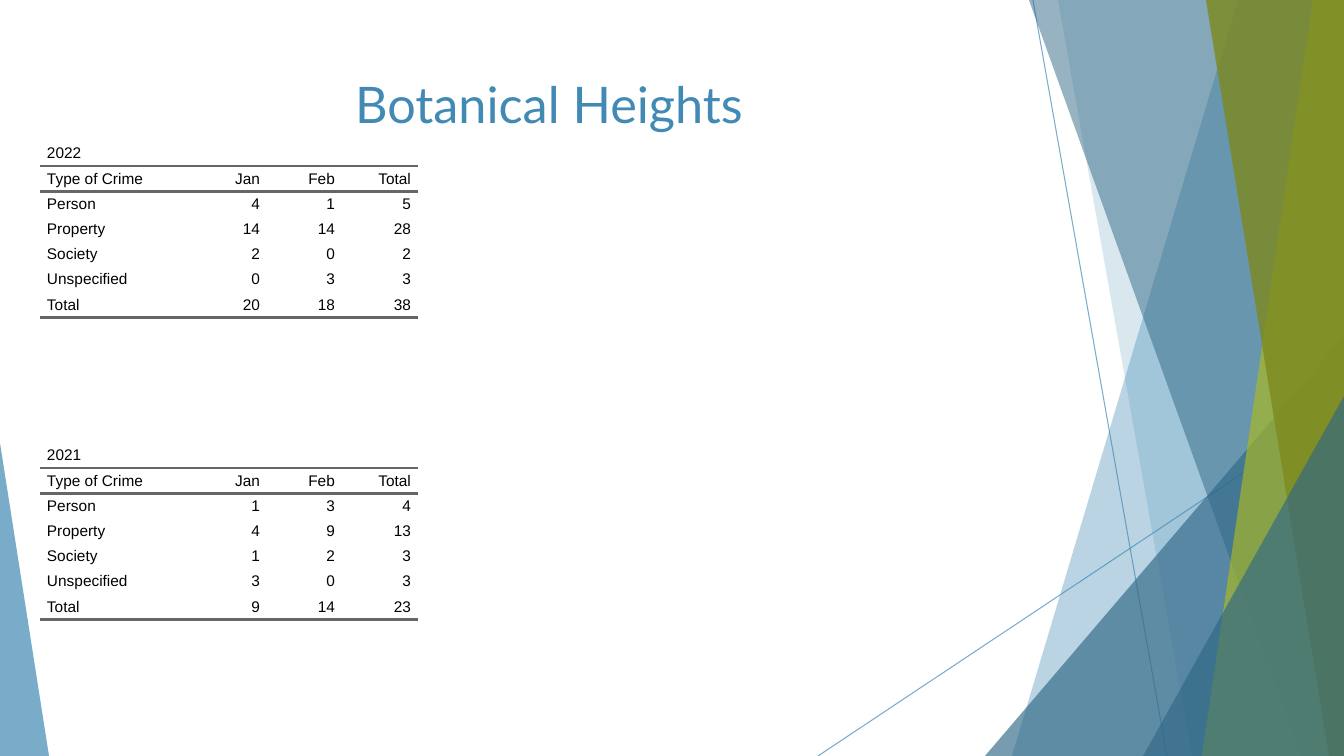
"""Build the Botanical Heights crime summary slide with two yearly tables."""
import dataclasses

import lxml.etree
import pptx
import pptx.dml.color
import pptx.enum.shapes
import pptx.enum.text
import pptx.oxml
import pptx.oxml.ns
import pptx.util


@dataclasses.dataclass(frozen=True)
class Theme:
    blue: str = "418AB3"
    dark_blue: str = "316886"
    lime: str = "A6B727"
    olive: str = "7D891D"
    text: str = "000000"
    rule: str = "666666"
    title_font: str = "Lato"
    table_font: str = "Arial"
    title_size: int = 36
    table_size: int = 11
    cell_spacing: int = 5
    rule_width: float = 2
    line_width: float = 0.75


THEME = Theme()
PIXEL = 914400 / 100.8
WIDTH, HEIGHT = 1344, 756
ALIGN = pptx.enum.text.PP_ALIGN
NO_STYLE = "{2D5ABB26-0587-4C30-8999-92F81FD0307C}"
qn = pptx.oxml.ns.qn


def paint(fill, color, opacity):
    """Apply a solid colour with an opacity in percent."""
    fill.solid()
    fill.fore_color.rgb = pptx.dml.color.RGBColor.from_string(color)
    color_element = fill._xPr.find(qn("a:solidFill"))[0]
    lxml.etree.SubElement(color_element, qn("a:alpha"), val=str(opacity * 1000))


def write_text(frame, text, *, font, size, color, align, spacing=0, indent=0):
    """Write one formatted paragraph into a text frame."""
    paragraph = frame.paragraphs[0]
    paragraph.alignment = align
    paragraph.space_before = paragraph.space_after = pptx.util.Pt(spacing)
    properties = paragraph._p.get_or_add_pPr()
    for side in ("marL", "marR"):
        properties.set(side, str(round(indent * PIXEL)))
    run = paragraph.add_run()
    run.text = text
    run.font.name = font
    run.font.size = pptx.util.Pt(size)
    run.font.color.rgb = pptx.dml.color.RGBColor.from_string(color)


presentation = pptx.Presentation()
presentation.slide_width = round(WIDTH * PIXEL)
presentation.slide_height = round(HEIGHT * PIXEL)
slide = presentation.slides.add_slide(presentation.slide_layouts[6])
shapes = slide.shapes

for ends in ((1033, 0, 1167, HEIGHT), (WIDTH, 406, 818, HEIGHT)):
    connector = shapes.add_connector(
        pptx.enum.shapes.MSO_CONNECTOR.STRAIGHT, *(round(end * PIXEL) for end in ends))
    connector.line.width = pptx.util.Pt(THEME.line_width)
    paint(connector.line.fill, THEME.blue, 70)
    lxml.etree.SubElement(connector._element.spPr, qn("a:effectLst"))

facets = (
    ("band", (1238, 1012), THEME.blue, 36),
    ("band", (1058, 1192), THEME.blue, 20),
    ("triangle", (985, 336, 359, 420, 1), THEME.dark_blue, 66),
    ("band", (1029, 1301), THEME.dark_blue, 50),
    ("band", (1313, 1202), THEME.lime, 70),
    ("band", (1206, 1329), THEME.olive, 80),
    ("triangle", (1143, 396, 201, 360, 1), THEME.dark_blue, 66),
    ("triangle", (0, 443, 49, 313, 0), THEME.blue, 70),
)
for kind, geometry, color, opacity in facets:
    if kind == "band":
        top_x, bottom_x = geometry
        builder = shapes.build_freeform(top_x, 0, scale=PIXEL)
        builder.add_line_segments(((WIDTH, 0), (WIDTH, HEIGHT), (bottom_x, HEIGHT)))
        facet = builder.convert_to_shape()
    else:
        *box, apex = geometry
        facet = shapes.add_shape(
            pptx.enum.shapes.MSO_SHAPE.ISOSCELES_TRIANGLE,
            *(round(length * PIXEL) for length in box))
        facet.adjustments[0] = apex
    facet.shadow.inherit = False
    facet.line.fill.background()
    paint(facet.fill, color, opacity)

HEADER = ("Type of Crime", "Jan", "Feb", "Total")
COLUMN_WIDTHS = (151, 76, 75, 76)
ROW_HEIGHT = 25.2
yearly_tables = (
    (141, "2022", (("Person", 4, 1, 5), ("Property", 14, 14, 28), ("Society", 2, 0, 2),
                   ("Unspecified", 0, 3, 3), ("Total", 20, 18, 38))),
    (443, "2021", (("Person", 1, 3, 4), ("Property", 4, 9, 13), ("Society", 1, 2, 3),
                   ("Unspecified", 3, 0, 3), ("Total", 9, 14, 23))),
)
for top, year, crimes in yearly_tables:
    rows = ((year,), HEADER, *crimes)
    borders = {1: ("a:lnB", "a:lnT"), len(rows) - 1: ("a:lnB",)}
    frame = shapes.add_table(
        len(rows), len(HEADER), round(40 * PIXEL), round(top * PIXEL),
        round(sum(COLUMN_WIDTHS) * PIXEL), round(len(rows) * ROW_HEIGHT * PIXEL))
    table = frame.table
    table.first_row = table.horz_banding = False
    table._tbl.tblPr.find(qn("a:tableStyleId")).text = NO_STYLE
    for column, width in zip(table.columns, COLUMN_WIDTHS):
        column.width = round(width * PIXEL)
    for row in table.rows:
        row.height = round(ROW_HEIGHT * PIXEL)
    table.cell(0, 0).merge(table.cell(0, len(HEADER) - 1))
    for row_index, row in enumerate(rows):
        for column_index, value in enumerate(row):
            cell = table.cell(row_index, column_index)
            cell.margin_left = cell.margin_right = cell.margin_top = cell.margin_bottom = 0
            cell.vertical_anchor = pptx.enum.text.MSO_ANCHOR.MIDDLE
            cell.fill.background()
            write_text(cell.text_frame, str(value), font=THEME.table_font,
                       size=THEME.table_size, color=THEME.text,
                       align=ALIGN.RIGHT if column_index else ALIGN.LEFT,
                       spacing=THEME.cell_spacing, indent=7)
            for edge in borders.get(row_index, ()):
                border = lxml.etree.Element(
                    qn(edge), w=str(pptx.util.Pt(THEME.rule_width)))
                solid = lxml.etree.SubElement(border, qn("a:solidFill"))
                lxml.etree.SubElement(solid, qn("a:srgbClr"), val=THEME.rule)
                cell._tc.get_or_add_tcPr().insert(0, border)

title = shapes.add_textbox(*(round(length * PIXEL) for length in (75, 68, 948, 145)))
title.text_frame.word_wrap = True
write_text(title.text_frame, "Botanical Heights", font=THEME.title_font,
           size=THEME.title_size, color=THEME.blue, align=ALIGN.CENTER)

presentation.save("out.pptx")
